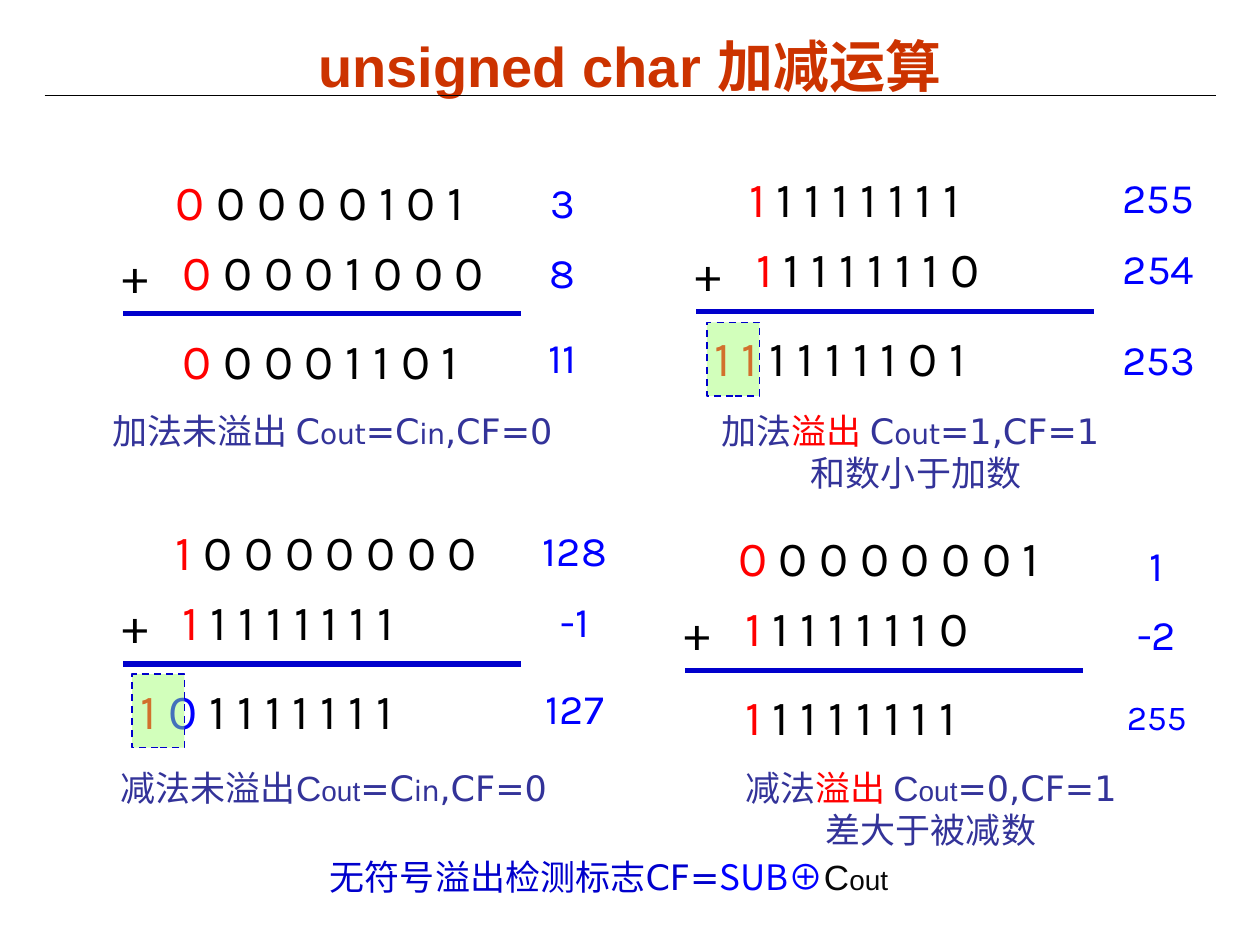
from lxml.etree import SubElement
from pptx import Presentation
from pptx.dml.color import RGBColor
from pptx.enum.dml import MSO_LINE
from pptx.enum.shapes import MSO_CONNECTOR, MSO_SHAPE
from pptx.enum.text import MSO_ANCHOR, PP_ALIGN
from pptx.oxml.ns import qn
from pptx.util import Pt

COLORS = {
    "title": "CC3300", "black": "000000", "red": "FF0000", "blue": "0000FF",
    "navy": "0000CC", "caption": "333399", "ink": "080808", "carry": "99FF66",
}
DIGITS = "Karla"
CAPTION = "DejaVu Sans"


def color(name):
    return RGBColor.from_string(COLORS[name])


def style(span, shade, size, typeface):
    span.font.name = typeface
    span.font.size = Pt(size)
    span.font.color.rgb = color(shade)


def add_text(page, left, top, width, height, lines, align=PP_ALIGN.LEFT):
    box = page.shapes.add_textbox(Pt(left), Pt(top), Pt(width), Pt(height))
    frame = box.text_frame
    frame.word_wrap = True
    for index, pieces in enumerate(lines):
        para = frame.add_paragraph() if index else frame.paragraphs[0]
        para.alignment = align
        for text, *look in pieces:
            span = para.add_run()
            span.text = text
            style(span, *look)


def add_rule(page, left, top, width, shade, weight):
    rule = page.shapes.add_connector(
        MSO_CONNECTOR.STRAIGHT, Pt(left), Pt(top), Pt(left + width), Pt(top))
    rule.line.color.rgb = color(shade)
    rule.line.width = Pt(weight)
    SubElement(rule._element.spPr, qn("a:effectLst"))


def add_title(page, text):
    title = page.shapes.title
    title.left, title.top, title.width, title.height = Pt(36), Pt(15), Pt(648), Pt(44)
    frame = title.text_frame
    frame.text = text
    frame.vertical_anchor = MSO_ANCHOR.MIDDLE
    para = frame.paragraphs[0]
    para.alignment = PP_ALIGN.CENTER
    style(para.runs[0], "title", 32, "Arial")
    para.runs[0].font.bold = True


def add_bits(page, left, top, bits, lead=1, second="red"):
    spaced = " ".join(bits)
    pieces = [(spaced[0], "red", 28, DIGITS)]
    if lead == 2:
        pieces.append((spaced[1:3], second, 28, DIGITS))
    pieces.append((spaced[2 * lead - 1:], "black", 28, DIGITS))
    add_text(page, left, top, 230, 41, [pieces])


def add_sum(page, left, top, rows, values, center, value_tops,
            second="red", result_size=24):
    add_rule(page, left, top, 227, "navy", 3)
    first, addend, result = rows
    lead = len(result) - 7
    add_bits(page, left + 23, top - 85, first)
    add_text(page, left - 7.5, top - 43, 35, 41, [[("+", "black", 28, DIGITS)]])
    add_bits(page, left + 27, top - 45, addend)
    add_bits(page, left + (3 if lead == 2 else 27), top + 6, result, lead, second)
    for value, offset, size in zip(values, value_tops, (24, 24, result_size)):
        add_text(page, center - 36, top + offset, 72, 36,
                 [[(value, "blue", size, DIGITS)]], PP_ALIGN.CENTER)


def add_caption(page, left, top, width, *lines):
    add_text(page, left, top, width, 32 * len(lines), lines, PP_ALIGN.CENTER)


def add_carry_mark(page, left, top):
    mark = page.shapes.add_shape(
        MSO_SHAPE.RECTANGLE, Pt(left), Pt(top), Pt(30), Pt(42))
    mark.shadow.inherit = False
    mark.fill.solid()
    mark.fill.fore_color.rgb = color("carry")
    shade = mark._element.spPr.find(qn("a:solidFill"))[0]
    SubElement(shade, qn("a:alpha"), val="44000")
    mark.line.color.rgb = color("navy")
    mark.line.width = Pt(1)
    mark.line.dash_style = MSO_LINE.DASH


def big(text, shade="caption", typeface=CAPTION):
    return text, shade, 20, typeface


def small(text, typeface=CAPTION, shade="caption"):
    return text, shade, 16, typeface


def main():
    deck = Presentation()
    deck.slide_width, deck.slide_height = Pt(720), Pt(540)
    page = deck.slides.add_slide(deck.slide_layouts[5])
    add_rule(page, 25.5, 54.5, 669.5, "black", 0.75)
    add_title(page, "unsigned char 加减运算")

    add_sum(page, 70.5, 179.3, ("00000101", "00001000", "00001101"),
            ("3", "8", "11"), 321.5, (-82, -42, 6.5))
    add_sum(page, 398, 177.8, ("11111111", "11111110", "111111101"),
            ("255", "254", "253"), 662, (-83.5, -43, 9.5))
    add_sum(page, 391.7, 383, ("00000001", "11111110", "11111111"),
            ("1", "-2", "255"), 661, (-78.5, -39, 11), result_size=20)
    add_sum(page, 70.5, 379.4, ("10000000", "11111111", "101111111"),
            ("128", "-1", "127"), 328.5, (-83, -42.5, 7), second="blue")

    add_caption(page, 48, 230.4, 284,
                [big("加法未溢出 C"), small("out"), big("=C"), small("in"), big(",CF=0")])
    add_caption(page, 361, 230.4, 325,
                [big("加法"), big("溢出 ", "red"), big("C"), small("out"), big("=1,CF=1 ")],
                [big("和数小于加数")])
    add_caption(page, 48, 434.2, 292,
                [big("减法未溢出"), big("C", typeface="Arial"), small("out", "Arial"),
                 big("=C"), small("in"), big(",CF=0 ")])
    add_caption(page, 373, 434.2, 318,
                [big("减法"), big("溢出 ", "red"), big("C", typeface="Arial"),
                 small("out", "Arial"), big("=0,CF=1")],
                [big("差大于被减数")])
    add_caption(page, 119, 485.3, 458,
                [big("无符号溢出检测标志CF=", "navy"),
                 big("SUB⊕", "blue", "Noto Sans CJK SC"),
                 big("C", "ink", "Arial"), small("out", "Arial", "ink")])
    add_carry_mark(page, 404, 184.3)
    add_carry_mark(page, 75.5, 385.2)
    deck.save("out.pptx")


if __name__ == "__main__":
    main()
